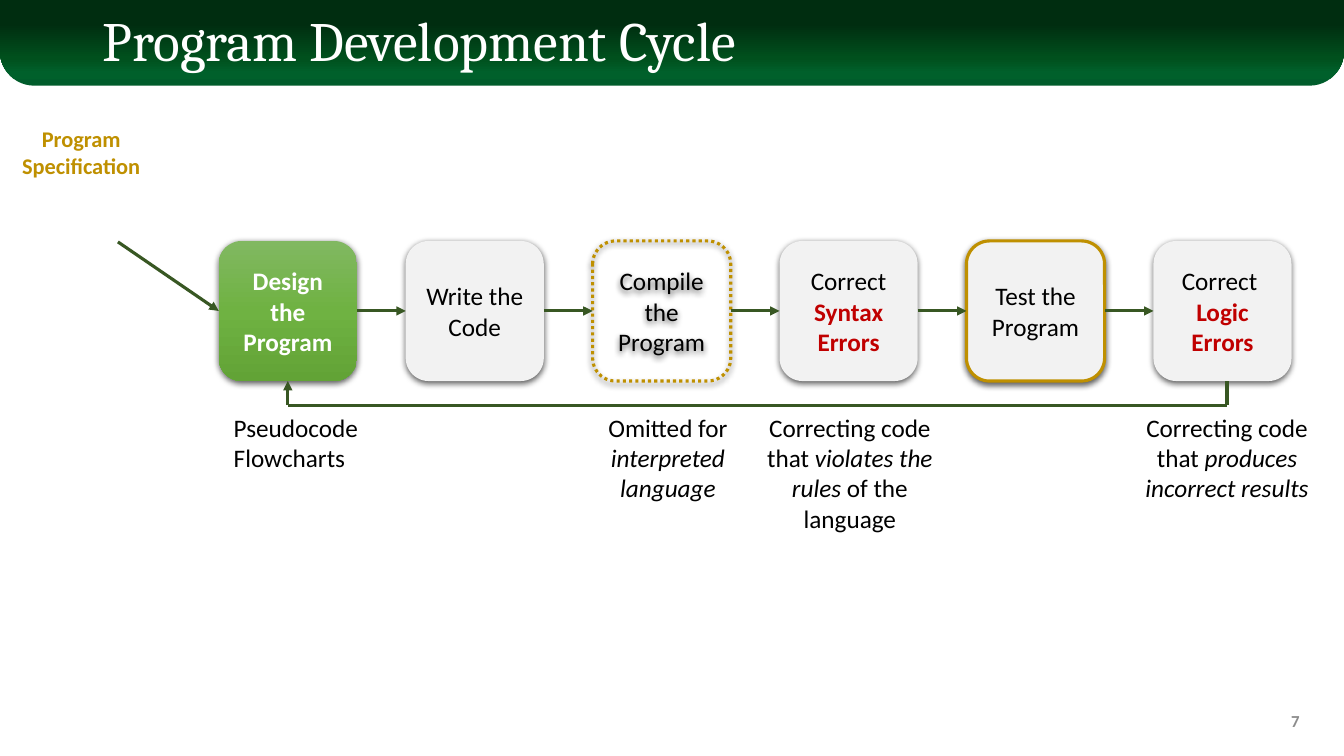
import pptx
import pptx.util
import pptx.dml.color
import pptx.enum.dml
import pptx.enum.shapes
import pptx.enum.text
import pptx.oxml
import pptx.oxml.ns
from dataclasses import dataclass

Inches = pptx.util.Inches
Pt = pptx.util.Pt
SHAPE = pptx.enum.shapes.MSO_SHAPE
ALIGN = pptx.enum.text.PP_ALIGN
ANCHOR = pptx.enum.text.MSO_ANCHOR
FIT = pptx.enum.text.MSO_AUTO_SIZE
NS = pptx.oxml.ns.nsdecls("a")


def rgb(value):
    return pptx.dml.color.RGBColor.from_string(value)


@dataclass(frozen=True)
class Theme:
    heading: str = "Cambria"
    body: str = "Calibri"
    title_size: float = 39.6
    text_size: float = 18
    label_size: float = 16
    number_size: float = 12
    line_width: float = 2.25
    white: str = "FFFFFF"
    black: str = "000000"
    gold: str = "BF9000"
    red: str = "C00000"
    arrow: str = "385723"
    panel: str = "F2F2F2"
    muted: str = "8C8C8C"
    banner: tuple = ((0, "005C2B"), (15, "00602B"), (32, "00501D"), (72, "002D10"))
    green: tuple = ((0, "81B861"), (50, "6FB242"), (100, "62A336"))


class Deck:
    def __init__(self, prs, theme):
        self.theme = theme
        self.slide = prs.slides.add_slide(prs.slide_layouts[5])
        self.shapes = self.slide.shapes

    def fill_text(self, tf, paragraphs, align=None, **base):
        style = {"name": self.theme.body, "size": self.theme.text_size,
                 "color": self.theme.black, **base}
        for i, runs in enumerate(paragraphs):
            p = tf.add_paragraph() if i else tf.paragraphs[0]
            p.alignment = align
            for text, extra in runs:
                if text == "\n":
                    p.add_line_break()
                    continue
                r = p.add_run()
                r.text = text
                fmt = {**style, **extra}
                r.font.color.rgb = rgb(fmt.pop("color"))
                fmt["size"] = Pt(fmt["size"])
                for key, value in fmt.items():
                    setattr(r.font, key, value)

    def title(self, text, box):
        sp = self.shapes.title
        for key, value in zip(("left", "top", "width", "height"), box):
            setattr(sp, key, Inches(value))
        tf = sp.text_frame
        tf.vertical_anchor = ANCHOR.MIDDLE
        self.fill_text(tf, [[(text, {})]], ALIGN.LEFT, name=self.theme.heading,
                       size=self.theme.title_size, color=self.theme.white)
        tf.paragraphs[0].line_spacing = 0.9

    def text(self, box, paragraphs, align=ALIGN.CENTER, frame=None, **base):
        tf = self.shapes.add_textbox(*map(Inches, box)).text_frame
        settings = {"word_wrap": True, "auto_size": FIT.SHAPE_TO_FIT_TEXT, **(frame or {})}
        for key, value in settings.items():
            setattr(tf, key, value)
        self.fill_text(tf, paragraphs, align, **base)

    def shape(self, kind, box, fill=None, line=None, dash=None):
        sp = self.shapes.add_shape(kind, *map(Inches, box))
        sp.shadow.inherit = False
        if isinstance(fill, tuple):
            self.gradient(sp, fill)
        elif fill:
            sp.fill.solid()
            sp.fill.fore_color.rgb = rgb(fill)
        else:
            sp.fill.background()
        if line:
            sp.line.color.rgb = rgb(line)
            sp.line.width = Pt(self.theme.line_width)
            if dash:
                sp.line.dash_style = dash
        else:
            sp.line.fill.background()
        return sp

    def gradient(self, sp, stops):
        sp.fill.gradient()
        grad = sp.element.spPr.find(pptx.oxml.ns.qn("a:gradFill"))
        gs = "".join(f'<a:gs pos="{pos * 1000}"><a:srgbClr val="{color}"/></a:gs>'
                     for pos, color in stops)
        grad.getparent().replace(grad, pptx.oxml.parse_xml(
            f'<a:gradFill {NS} rotWithShape="1"><a:gsLst>{gs}</a:gsLst>'
            '<a:lin ang="5400000" scaled="0"/></a:gradFill>'))

    def banner(self, box):
        sp = self.shape(SHAPE.ROUND_2_SAME_RECTANGLE, box, self.theme.banner)
        sp.adjustments[0] = 0.4
        sp.element.spPr.xfrm.set("flipV", "1")
        self.shapes.element.insert(2, sp.element)

    def step(self, box, runs, bold=False, color=None, **look):
        sp = self.shape(SHAPE.ROUNDED_RECTANGLE, box, **look)
        effects = sp.element.spPr.find(pptx.oxml.ns.qn("a:effectLst"))
        effects.append(pptx.oxml.parse_xml(
            f'<a:outerShdw {NS} blurRad="{Pt(4.5)}" dist="{Pt(1.5)}" dir="5400000" '
            f'algn="ctr" rotWithShape="0"><a:srgbClr val="{self.theme.black}">'
            '<a:alpha val="63000"/></a:srgbClr></a:outerShdw>'))
        sp.text_frame.vertical_anchor = ANCHOR.MIDDLE
        self.fill_text(sp.text_frame, [runs], ALIGN.CENTER, bold=bold,
                       color=color or self.theme.black)
        return sp

    def line(self, start, end, begin=None, finish=None, arrow=True):
        cx = self.shapes.add_connector(pptx.enum.shapes.MSO_CONNECTOR.STRAIGHT, *start, *end)
        if begin:
            cx.begin_connect(*begin)
        if finish:
            cx.end_connect(*finish)
        cx.line.color.rgb = rgb(self.theme.arrow)
        cx.line.width = Pt(self.theme.line_width)
        spPr = cx.element.spPr
        if arrow:
            spPr.find(pptx.oxml.ns.qn("a:ln")).append(
                pptx.oxml.parse_xml(f'<a:tailEnd {NS} type="triangle"/>'))
        spPr.append(pptx.oxml.parse_xml(f"<a:effectLst {NS}/>"))


def main():
    prs = pptx.Presentation()
    prs.slide_width, prs.slide_height = Inches(13.33), Inches(7.5)
    theme = Theme()
    deck = Deck(prs, theme)
    deck.banner((0, 0, 13.33, 0.85))
    deck.title("Program Development Cycle", (0.92, 0.13, 11.5, 0.61))

    deck.text((0.11, 1.19, 1.39, 0.64), [[("Program", {})], [("Specification", {})]],
              frame={"word_wrap": False}, size=theme.label_size, color=theme.gold, bold=True)

    error = {"color": theme.red, "bold": True}
    panel = {"fill": theme.panel}
    steps = [
        ([("Design the Program", {})],
         {"fill": theme.green, "bold": True, "color": theme.white}),
        ([("Write the Code", {})], panel),
        ([("Compile the Program", {})],
         {"line": theme.gold, "dash": pptx.enum.dml.MSO_LINE.ROUND_DOT}),
        ([("Correct ", {}), ("Syntax Errors", error)], panel),
        ([("Test the Program", {})], {**panel, "line": theme.gold}),
        ([("Correct ", {}), ("\n", {}), ("Logic Errors", error)], panel),
    ]
    left, right = 2.17, 11.44
    pitch = (right - left) / (len(steps) - 1)
    boxes = [deck.step((left + i * pitch, 2.39, 1.37, 1.39), runs, **look)
             for i, (runs, look) in enumerate(steps)]

    design = boxes[0]
    start = (Inches(1.17), Inches(2.4))
    deck.line(start, start, finish=(design, 1))
    for a, b in zip(boxes, boxes[1:]):
        deck.line(start, start, begin=(a, 3), finish=(b, 1))

    loop_left, loop_right = design.left + design.width // 2, Inches(12.17)
    loop_top, loop_bottom = design.top + design.height, Inches(4.02)
    corner = (loop_left, loop_bottom)
    deck.line((loop_right, loop_top), (loop_right, loop_bottom), arrow=False)
    deck.line(corner, (loop_right, loop_bottom), arrow=False)
    deck.line(corner, (loop_left, loop_top), finish=(design, 2))

    italic = {"italic": True}
    notes = [
        (2.22, 1.47, 0.71, ALIGN.LEFT, [[("Pseudocode", {})], [("Flowcharts", {})]]),
        (5.9, 1.45, 1.01, ALIGN.CENTER,
         [[("Omitted for ", {}), ("interpreted language", italic)]]),
        (7.41, 2.04, 1.31, ALIGN.CENTER,
         [[("Correcting code that ", {}), ("violates the rules ", italic),
           ("of the language", {})]]),
        (11.16, 2.02, 1.01, ALIGN.CENTER,
         [[("Correcting code that ", {}), ("produces incorrect results", italic)]]),
    ]
    for x, width, height, align, paragraphs in notes:
        deck.text((x, 4.04, width, height), paragraphs, align)

    deck.text((9.99, 6.95, 3, 0.4), [[("7", {})]], ALIGN.RIGHT,
              frame={"auto_size": FIT.NONE, "vertical_anchor": ANCHOR.MIDDLE},
              size=theme.number_size, color=theme.muted, bold=True)
    prs.save("out.pptx")


if __name__ == "__main__":
    main()
